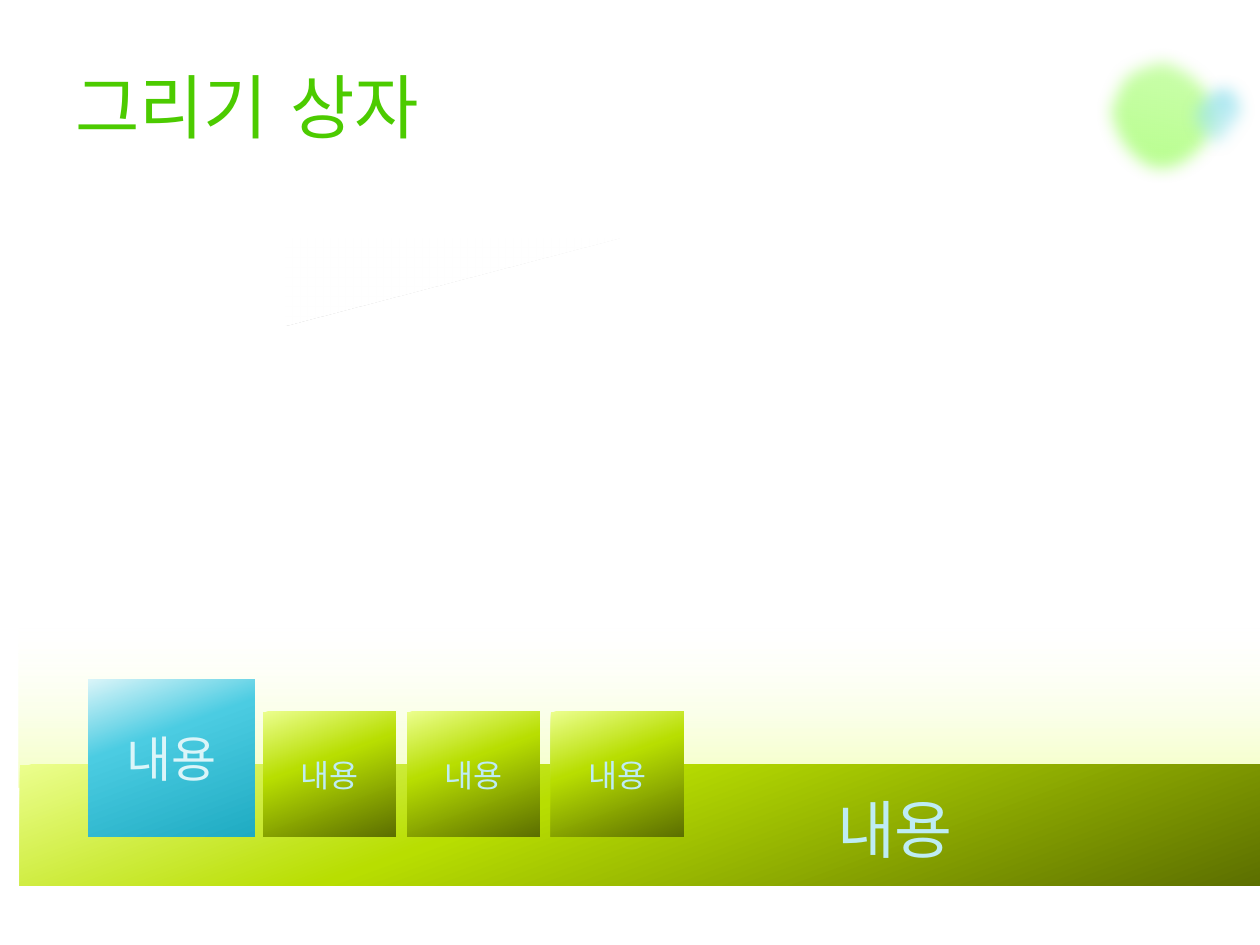
import pptx
import pptx.util
from lxml import etree
from pptx.dml.color import RGBColor
from pptx.enum.shapes import MSO_SHAPE
from pptx.enum.text import MSO_ANCHOR, PP_ALIGN
from pptx.oxml.ns import qn

PX = 914400 / 126
LIME = [(0, "EBFE8D", 100), (40, "B8DE01", 100), (100, "5C6F00", 100)]
AQUA = [(0, "DBF5F9", 100), (37, "4BCCE2", 100), (100, "1FABC2", 100)]
HAZE = [(23, "FAFFE1", 0), (100, "E1FF5A", 39)]
SHEEN = [(0, "FFFFFF", 15), (50, "FFFFFF", 30), (100, "FFFFFF", 50)]
GREEN_GLOW = [(0, "B2FF84", 100), (100, "B2FF84", 58)]
BLUE_GLOW = [(0, "8CDFEC", 100), (100, "B0E9F2", 36)]

# Bezier outlines: a start point, then two controls and an end point per curve
GREEN_DROP = [
    (142, 88), (138, 107), (142, 117), (111, 133), (94, 143), (75, 147), (57, 142),
    (38, 138), (21, 127), (11, 110), (5, 89), (-3, 75), (2, 56),
    (6, 37), (17, 21), (34, 11), (57, 5), (72, -2), (88, 1),
    (103, 5), (118, 15), (128, 31), (138, 47), (147, 69), (142, 88)]
BLUE_DROP = [
    (80, 66), (88, 55), (84, 46), (83, 37), (81, 29), (80, 16), (73, 10),
    (65, 5), (47, 2), (36, 5), (26, 7), (15, 13), (7, 25),
    (-2, 36), (-2, 50), (1, 61), (2, 71), (8, 84), (16, 90),
    (25, 97), (39, 99), (47, 99), (56, 98), (60, 97), (68, 85),
    (68, 85), (80, 66), (80, 66)]


def emu(px):
    return pptx.util.Emu(round(px * PX))


def color(hex_string):
    return RGBColor.from_string(hex_string)


def paint(shape, stops, angle):
    """Give a gradient of (percent, colour, opacity) stops, with no line or shadow."""
    shape.shadow.inherit = False
    shape.line.fill.background()
    shape.fill.gradient()
    gradient = shape._element.spPr.find(qn("a:gradFill"))
    stop_list = gradient.find(qn("a:gsLst"))
    for old_stop in list(stop_list):
        stop_list.remove(old_stop)
    for position, hex_string, opacity in stops:
        stop = etree.SubElement(stop_list, qn("a:gs"), pos=str(position * 1000))
        tint = etree.SubElement(stop, qn("a:srgbClr"), val=hex_string)
        if opacity < 100:
            etree.SubElement(tint, qn("a:alpha"), val=str(opacity * 1000))
    gradient.find(qn("a:lin")).set("ang", str(angle * 60000))


def add_panel(slide, box, stops, angle, preset=MSO_SHAPE.RECTANGLE):
    panel = slide.shapes.add_shape(preset, *map(emu, box))
    paint(panel, stops, angle)
    return panel


def write(shape, text, size, font, hex_string, align=PP_ALIGN.LEFT):
    frame = shape.text_frame
    frame.word_wrap = True
    frame.vertical_anchor = MSO_ANCHOR.MIDDLE
    paragraph = frame.paragraphs[0]
    paragraph.alignment = align
    run = paragraph.add_run()
    run.text = text
    run.font.size = pptx.util.Pt(size)
    run.font.name = font
    run.font.color.rgb = color(hex_string)
    return run


def curve(path_element, outline):
    """Replace the straight segments of a path with Bezier curves."""
    for segment in list(path_element):
        path_element.remove(segment)

    def add_step(tag, points):
        step = etree.SubElement(path_element, qn(tag))
        for x, y in points:
            etree.SubElement(step, qn("a:pt"), x=str(emu(x)), y=str(emu(y)))

    add_step("a:moveTo", outline[:1])
    for i in range(1, len(outline), 3):
        add_step("a:cubicBezTo", outline[i:i + 3])
    etree.SubElement(path_element, qn("a:close"))


def add_drop(slide, box, outline, stops, rotation):
    left, top, width, height = map(emu, box)
    builder = slide.shapes.build_freeform(left, top)
    builder.add_line_segments([(left + width, top), (left + width, top + height)])
    drop = builder.convert_to_shape()
    curve(next(drop._element.iter(qn("a:path"))), outline)
    paint(drop, stops, 90)
    drop.rotation = rotation
    effects = drop._element.spPr.find(qn("a:effectLst"))
    etree.SubElement(effects, qn("a:softEdge"), rad=str(emu(17)))


def add_drops(slide, left, top):
    add_drop(slide, (left, top, 150, 145), GREEN_DROP, GREEN_GLOW, 192.5)
    add_drop(slide, (left + 91, top + 24, 84, 98), BLUE_DROP, BLUE_GLOW, 0)


def add_title(slide, box):
    title = slide.shapes.add_textbox(*map(emu, box))
    run = write(title, "그리기 상자", 40, "DejaVu Sans", "4CCB00")
    latin = run.font._element.find(qn("a:latin"))
    latin.addnext(etree.Element(qn("a:ea"), typeface="DejaVu Sans"))


def add_band(slide, left, top, width):
    add_panel(slide, (left, top, width, 207), HAZE, 90)
    add_panel(slide, (left + 1, top + 184, width - 1, 121), LIME, 70)


def add_tile(slide, box, stops, size, hex_string):
    tile = add_panel(slide, box, stops, 70)
    write(tile, "내용", size, "Arial", hex_string, PP_ALIGN.CENTER)


def add_tiles(slide, left, bottom):
    """Place three small tiles, then the large leading one, on one base line."""
    for i in range(3):
        add_tile(slide, (left + 175 + 144 * i, bottom - 125, 133, 125), LIME, 18, "BEECF4")
    add_tile(slide, (left, bottom - 158, 167, 158), AQUA, 28, "DBF5F9")


def add_caption(slide, box):
    caption = slide.shapes.add_textbox(*map(emu, box))
    frame = caption.text_frame
    frame.margin_left = frame.margin_right = frame.margin_top = frame.margin_bottom = 0
    write(caption, "내용", 36, "Arial", "BEECF4")


def main():
    deck = pptx.Presentation()
    deck.slide_width, deck.slide_height = emu(1260), emu(945)
    slide = deck.slides.add_slide(deck.slide_layouts[6])
    add_drops(slide, 1085, 42)
    add_band(slide, 19, 581, 1241)
    add_title(slide, (63, 42, 1134, 127))
    add_tiles(slide, 88, 837)
    add_caption(slide, (837, 790, 272, 77))
    sheen = add_panel(slide, (409, 115, 87, 334), SHEEN, 90, MSO_SHAPE.RIGHT_TRIANGLE)
    sheen.rotation = 90
    deck.save("out.pptx")


if __name__ == "__main__":
    main()
